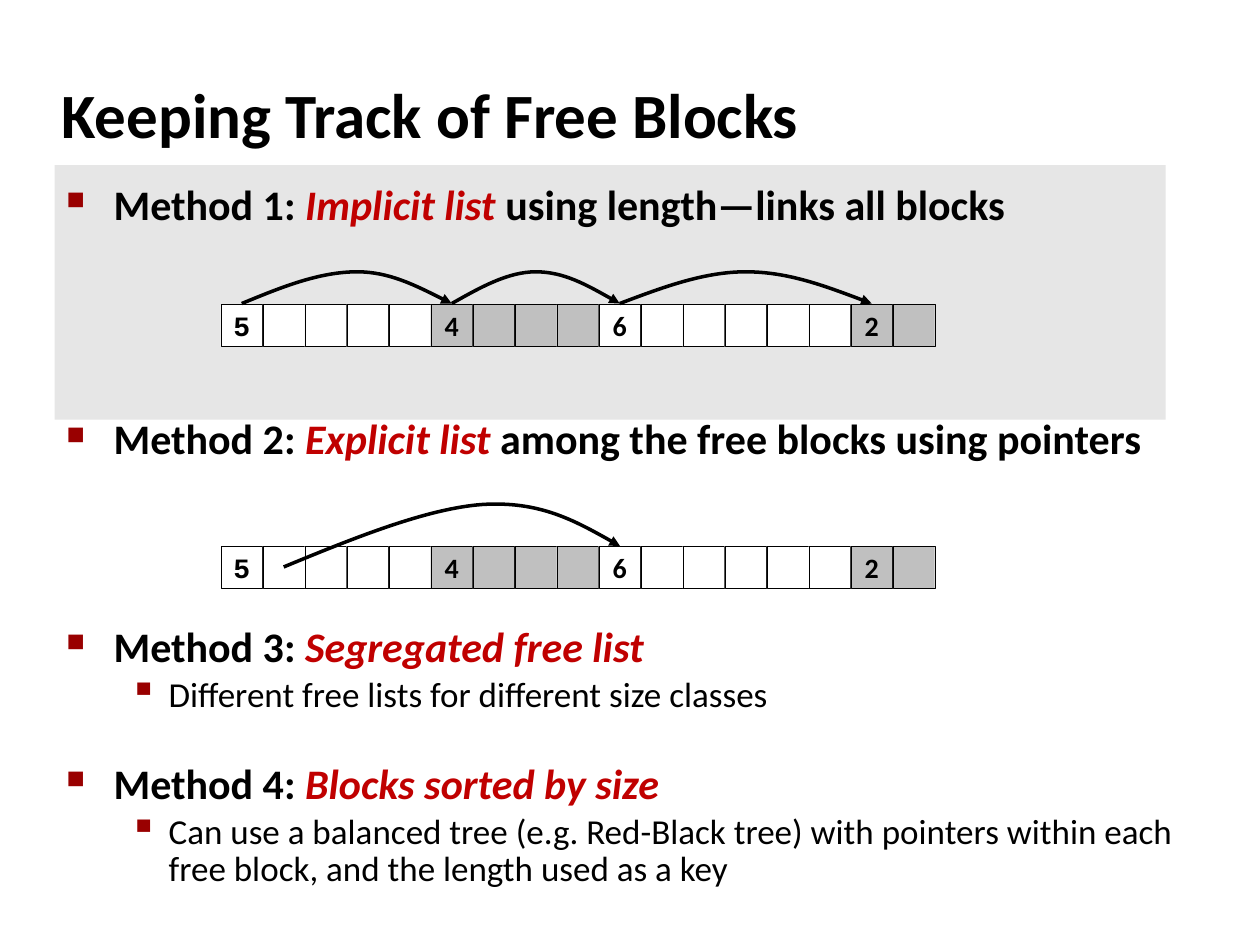
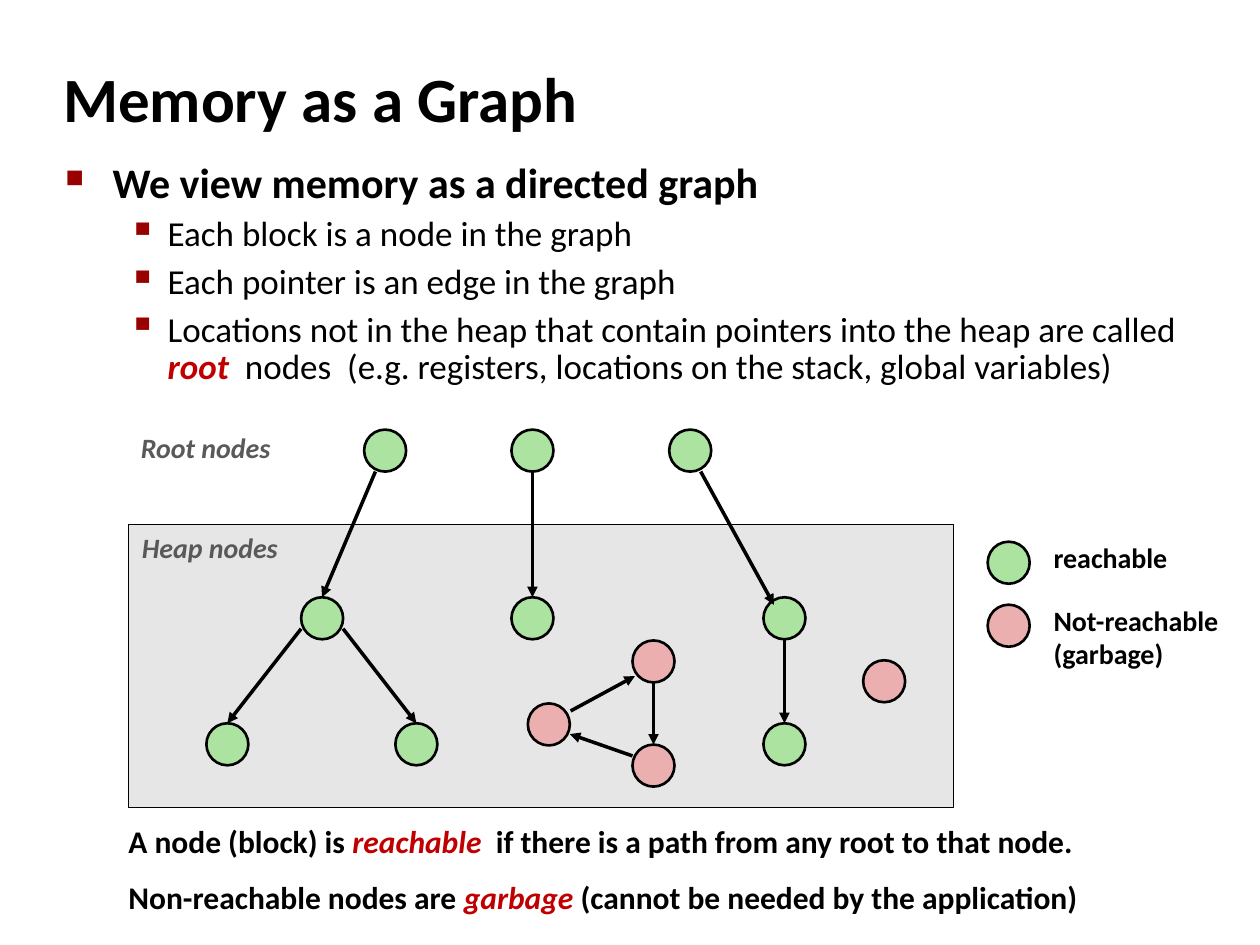
from itertools import accumulate

from lxml import etree
from pptx import Presentation
from pptx.dml.color import RGBColor
from pptx.enum.shapes import MSO_CONNECTOR as CONN, MSO_SHAPE as SHAPE
from pptx.enum.text import MSO_ANCHOR as ANCHOR, MSO_AUTO_SIZE as AUTO, PP_ALIGN as ALIGN
from pptx.oxml.ns import qn
from pptx.util import Cm, Pt

BLACK = RGBColor(0x00, 0x00, 0x00)
WHITE = RGBColor(0xFF, 0xFF, 0xFF)
BAND = RGBColor(0xE6, 0xE6, 0xE6)
ALLOCATED = RGBColor(0xC0, 0xC0, 0xC0)
ACCENT = RGBColor(0xC0, 0x00, 0x00)
BULLET = RGBColor(0x99, 0x00, 0x00)
LABEL = RGBColor(0x59, 0x59, 0x59)
REACHABLE = RGBColor(0xAC, 0xE3, 0xA1)
GARBAGE = RGBColor(0xEB, 0xAF, 0xAF)
FONT, MONO = "Calibri", "Courier New"
CELL = 2.54 / 3
LEVELS = [
    dict(size=24, bold=True, left=0.95, hang=0.95, char="■", percent=60),
    dict(size=20, bold=False, left=2.06, hang=0.79, char="▪", percent=110),
]
TOP, BOTTOM = (0.5, 0), (0.5, 1)


def add_run(p, text, size, color=BLACK, bold=True, italic=False, font=FONT):
    """Add one formatted run to a paragraph."""
    r = p.add_run()
    r.text = text
    f = r.font
    f.name, f.size, f.bold, f.italic = font, Pt(size), bold, italic
    f.color.rgb = color


def add_parts(p, parts, size, bold=True):
    """Add runs that alternate between plain and accented text."""
    for i, text in enumerate(parts):
        if i % 2:
            add_run(p, text, size, ACCENT, True, True)
        else:
            add_run(p, text, size, bold=bold)


def add_text_frame(s, box, wrap=True):
    """Add an empty text box and return its frame."""
    tf = s.shapes.add_textbox(*map(Cm, box)).text_frame
    tf.word_wrap = wrap
    return tf


def add_paragraph(tf, index, before, spacing):
    """Return the paragraph at the index, with its spacing set."""
    p = tf.add_paragraph() if index else tf.paragraphs[0]
    p.line_spacing = spacing
    p.space_before = Pt(before if index else 0)
    return p


def add_title(s, text, box, spacing=1.0):
    """Place and format the title placeholder."""
    sp = s.shapes.title
    sp.left, sp.top, sp.width, sp.height = map(Cm, box)
    tf = sp.text_frame
    tf.auto_size, tf.vertical_anchor = AUTO.NONE, ANCHOR.MIDDLE
    p = tf.paragraphs[0]
    p.alignment, p.line_spacing = ALIGN.LEFT, spacing
    add_run(p, text, 36)


def add_bullet(p, level):
    """Give a paragraph the bullet and indents of its level."""
    style = LEVELS[level]
    pPr = p._p.get_or_add_pPr()
    pPr.set("marL", str(Cm(style["left"])))
    pPr.set("indent", str(-Cm(style["hang"])))
    color = etree.SubElement(pPr, qn("a:buClr"))
    etree.SubElement(color, qn("a:srgbClr"), val=str(BULLET))
    etree.SubElement(pPr, qn("a:buSzPct"), val=str(style["percent"] * 1000))
    etree.SubElement(pPr, qn("a:buChar"), char=style["char"])


def add_body(s, box, items):
    """Add bulleted paragraphs given as level, space before, line spacing, parts."""
    tf = add_text_frame(s, box)
    for i, (level, before, spacing, parts) in enumerate(items):
        p = add_paragraph(tf, i, before, spacing)
        p.level = level
        add_bullet(p, level)
        add_parts(p, parts, LEVELS[level]["size"], LEVELS[level]["bold"])


def add_filled(s, kind, box, fill, line=None):
    """Add a filled preset shape, outlined when a line width is given."""
    sp = s.shapes.add_shape(kind, *map(Cm, box))
    sp.shadow.inherit = False
    sp.fill.solid()
    sp.fill.fore_color.rgb = fill
    if line:
        sp.line.color.rgb, sp.line.width = BLACK, Pt(line)
    else:
        sp.line.fill.background()
    return sp


def add_arrow_line(sp):
    """Draw a line in black with a triangle at its end."""
    sp.line.color.rgb, sp.line.width = BLACK, Pt(2)
    etree.SubElement(sp.line._get_or_add_ln(), qn("a:tailEnd"), type="triangle")


def add_curve(s, points):
    """Add an arrow along cubic curves through a start and triples of points."""
    start, *rest = [(Cm(x), Cm(y)) for x, y in points]
    builder = s.shapes.build_freeform(*start)
    builder.add_line_segments(rest, close=False)
    sp = builder.convert_to_shape()
    sp.shadow.inherit = False
    sp.fill.background()
    add_arrow_line(sp)
    outline = next(sp._element.iter(qn("a:path")))
    lines = outline.findall(qn("a:lnTo"))
    for i in range(0, len(lines), 3):
        cubic = etree.SubElement(outline, qn("a:cubicBezTo"))
        for line in lines[i:i + 3]:
            cubic.append(line[0])
            outline.remove(line)


def add_hop(s, x1, x2, y, apex):
    """Add an arched arrow from x1 to x2 whose top lies at the apex fraction."""
    rise = 0.64
    shares = [0, apex / 3, apex * 2 / 3, apex, (1 + 2 * apex) / 3, (2 + apex) / 3, 1]
    lifts = [0, rise / 2, rise, rise, rise, rise / 2, 0]
    add_curve(s, [(x1 + (x2 - x1) * k, y - up) for k, up in zip(shares, lifts)])


def add_heap_row(s, x, y, sizes):
    """Add a row of blocks, free and allocated in turn; return header centres."""
    starts = [x + n * CELL for n in accumulate(sizes[:-1], initial=0)]
    for i, (start, size) in enumerate(zip(starts, sizes)):
        for j in range(size):
            fill = ALLOCATED if i % 2 else WHITE
            sp = add_filled(s, SHAPE.RECTANGLE, (start + j * CELL, y, CELL, CELL), fill, 0.25)
            if j == 0:
                tf = sp.text_frame
                tf.word_wrap, tf.vertical_anchor = False, ANCHOR.MIDDLE
                p = tf.paragraphs[0]
                p.alignment = ALIGN.CENTER
                add_run(p, str(size), 16, font=FONT if i else MONO)
    return [start + CELL / 2 for start in starts]


def add_node(s, x, y, fill):
    """Add a round graph node."""
    add_filled(s, SHAPE.OVAL, (x, y, CELL, CELL), fill, 1.5)


def add_edge(s, tail, tail_port, head, head_port):
    """Add an arrow between ports given as fractions of each node."""
    ends = [Cm(node[k] + port[k] * CELL)
            for node, port in ((tail, tail_port), (head, head_port)) for k in (0, 1)]
    line = s.shapes.add_connector(CONN.STRAIGHT, *ends)
    add_arrow_line(line)
    etree.SubElement(line._element.spPr, qn("a:effectLst"))


def add_label(s, box, lines, color=BLACK, italic=False):
    """Add a short label without wrapping."""
    p = add_text_frame(s, box, wrap=False).paragraphs[0]
    for i, text in enumerate(lines):
        if i:
            p.add_line_break()
        add_run(p, text, 16, color, italic=italic)


def add_graph(s, x, y, w, h):
    """Add the heap area with its nodes, the roots above it and the edges."""
    add_filled(s, SHAPE.RECTANGLE, (x, y, w, h), BAND, 0.5)
    places = dict(
        root1=(4.75, -1.91), root2=(7.72, -1.91), root3=(10.9, -1.91),
        left=(3.48, 1.47), middle=(7.72, 1.47), right=(12.8, 1.47),
        leaf1=(1.57, 4.01), leaf2=(5.38, 4.01), leaf3=(12.8, 4.01),
        cycle1=(10.16, 2.34), cycle2=(10.16, 4.44), cycle3=(8.05, 3.61),
        lone=(14.81, 2.74))
    nodes = {name: (x + dx, y + dy) for name, (dx, dy) in places.items()}
    for name, place in nodes.items():
        add_node(s, *place, GARBAGE if name.startswith(("cycle", "lone")) else REACHABLE)
    edges = [
        ("root1", (0.27, 1), "left", TOP),
        ("root2", BOTTOM, "middle", TOP),
        ("root3", (0.75, 1), "right", (0.25, 0.18)),
        ("left", (0, 0.75), "leaf1", TOP),
        ("left", (1, 0.75), "leaf2", TOP),
        ("right", BOTTOM, "leaf3", TOP),
        ("cycle1", BOTTOM, "cycle2", TOP),
        ("cycle2", (0, 0.27), "cycle3", (1, 0.73)),
        ("cycle3", (1.02, 0.18), "cycle1", (0.06, 0.85)),
    ]
    for tail, tail_port, head, head_port in edges:
        add_edge(s, nodes[tail], tail_port, nodes[head], head_port)
    add_label(s, (x, y - 2.01, 3.2, 0.94), ["Root nodes"], LABEL, True)
    add_label(s, (x + 0.02, y, 3.3, 0.94), ["Heap nodes"], LABEL, True)


def add_legend(s, x, y):
    """Add the key to the two node colours."""
    rows = [(REACHABLE, ["reachable"], 2.82), (GARBAGE, ["Not-reachable", "(garbage)"], 3.89)]
    for i, (fill, lines, width) in enumerate(rows):
        top = y + i * 1.27
        add_node(s, x, top, fill)
        add_label(s, (x + 1.08, top - 0.15, width, 0.94 + 0.69 * (len(lines) - 1)), lines)


def add_conclusions(s, box):
    """Add the closing statements below the graph."""
    statements = [
        ("A node (block) is ", "reachable", "  if there is a path from any root to that node."),
        ("Non-reachable nodes are ", "garbage ", "(cannot be needed by the application)"),
    ]
    tf = add_text_frame(s, box)
    for i, parts in enumerate(statements):
        add_parts(add_paragraph(tf, i, 11.2, 0.95), parts, 18)


def build_free_blocks(s):
    """Build the slide on the methods for tracking free blocks."""
    add_filled(s, SHAPE.RECTANGLE, (1.1, 3.33, 22.4, 5.13), BAND)
    add_title(s, "Keeping Track of Free Blocks", (0.99, 1.22, 21.08, 2.11))
    add_body(s, (1.09, 3.48, 23.04, 14.94), [
        (0, 0, 1.0, ("Method 1: ", "Implicit list ", "using length—links all blocks")),
        (0, 105, 1.0, ("Method 2: ", "Explicit list ", "among the free blocks using pointers")),
        (0, 94.5, 0.83, ("Method 3: ", "Segregated free list")),
        (1, 4, 0.88, ("Different free lists for different size classes",)),
        (0, 29.4, 0.83, ("Method 4: ", "Blocks sorted by size")),
        (1, 4, 0.88, ("Can use a balanced tree (e.g. Red-Black tree) with pointers within each "
                      "free block, and the length used as a key",)),
    ])
    sizes = [5, 4, 6, 2]
    x, implicit_y, explicit_y = 4.45, 6.14, 11.01
    headers = add_heap_row(s, x, implicit_y, sizes)
    for start, end, apex in zip(headers, headers[1:], (0.55, 0.5, 0.5)):
        add_hop(s, start, end, implicit_y - 0.02, apex)
    add_heap_row(s, x, explicit_y, sizes)
    pointer = [(1.27, 0.42), (2.72, -0.18), (4.17, -0.76), (5.28, -0.84),
               (6.43, -0.91), (7.24, -0.46), (8.05, 0)]
    add_curve(s, [(x + dx, explicit_y + dy) for dx, dy in pointer])


def build_memory_graph(s):
    """Build the slide that shows memory as a directed graph."""
    add_title(s, "Memory as a Graph", (1.02, 1.27, 17.6, 1.6), 0.87)
    add_body(s, (1.07, 3.18, 23.52, 4.29), [
        (0, 0, 0.85, ("We view memory as a directed graph",)),
        (1, 5.6, 0.9, ("Each block is a node in the graph",)),
        (1, 5.6, 0.9, ("Each pointer is an edge in the graph",)),
        (1, 5.6, 0.9, ("Locations not in the heap that contain pointers into the heap are called ",
                       "root",
                       "  nodes  (e.g. registers, locations on the stack, global variables)")),
    ])
    add_graph(s, 2.59, 10.57, 16.64, 5.71)
    add_legend(s, 19.91, 10.92)
    add_conclusions(s, (2.34, 16.51, 20.57, 2.34))


def main():
    """Build and save the presentation."""
    prs = Presentation()
    prs.slide_width, prs.slide_height = Cm(25.4), Cm(19.05)
    for build in (build_free_blocks, build_memory_graph):
        build(prs.slides.add_slide(prs.slide_layouts[5]))
    prs.save("out.pptx")


if __name__ == "__main__":
    main()
